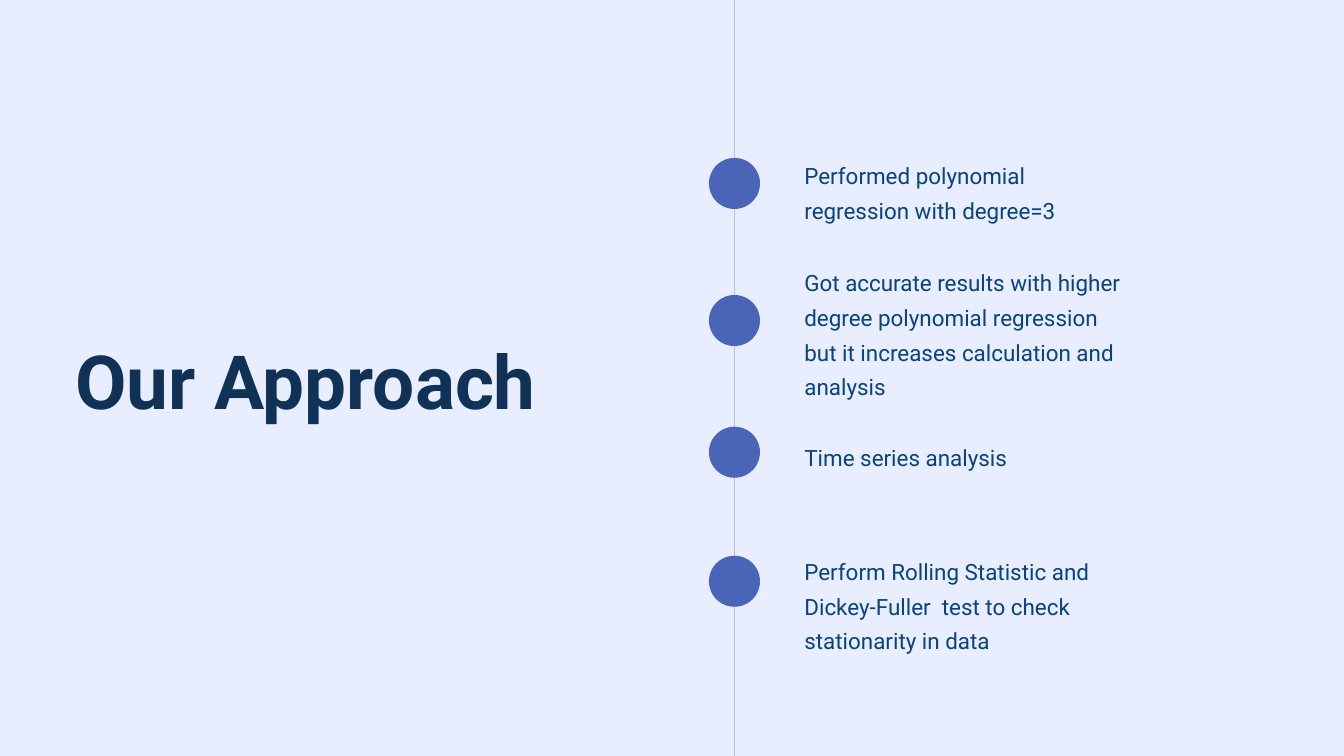
from dataclasses import dataclass

from lxml.etree import SubElement
from pptx import Presentation
from pptx.dml.color import RGBColor
from pptx.enum.shapes import MSO_CONNECTOR as Connector, MSO_SHAPE as Shape
from pptx.enum.text import MSO_ANCHOR as Anchor, MSO_AUTO_SIZE as AutoSize, PP_ALIGN as Align
from pptx.oxml.ns import qn
from pptx.util import Inches, Pt


@dataclass(frozen=True)
class Theme:
    font: str = "Roboto"
    background: RGBColor = RGBColor(0xE8, 0xEE, 0xFF)
    title: RGBColor = RGBColor(0x0F, 0x32, 0x56)
    body: RGBColor = RGBColor(0x09, 0x42, 0x7D)
    dot: RGBColor = RGBColor(0x4A, 0x64, 0xB8)
    rail: RGBColor = RGBColor(0, 0, 0)
    rail_opacity: int = 19
    title_size: int = 80
    body_size: int = 24
    line_spacing: float = 1.3


THEME = Theme()
SLIDE_WIDTH, SLIDE_HEIGHT = 20, 11.25
DOT_SIZE = 0.76
TEXT_OFFSET = 1.04  # from the rail to the step text

# Dot top, text top, text height, wording
STEPS = [
    (2.35, 2.29, 0.88, "Performed polynomial regression with degree=3"),
    (4.39, 3.88, 1.74, "Got accurate results with higher degree polynomial regression "
                       "but it increases calculation and analysis"),
    (6.35, 6.49, 0.44, "Time series analysis"),
    (8.27, 8.18, 1.31, "Perform Rolling Statistic and Dickey-Fuller  test "
                       "to check stationarity in data"),
]


def place(shape, left, top, width, height):
    shape.left, shape.top = Inches(left), Inches(top)
    shape.width, shape.height = Inches(width), Inches(height)


def write_text(box, text, *, size, color, bold=False):
    frame = box.text_frame
    frame.word_wrap = True
    frame.auto_size = AutoSize.NONE
    frame.vertical_anchor = Anchor.TOP
    frame.margin_left = frame.margin_top = frame.margin_right = frame.margin_bottom = 0
    para = frame.paragraphs[0]
    para.alignment = Align.LEFT
    para.line_spacing = THEME.line_spacing
    para.space_before = Pt(0)
    span = para.add_run()
    span.text = text
    span.font.name = THEME.font
    span.font.size = Pt(size)
    span.font.bold = bold
    span.font.color.rgb = color


def add_title(page, left, top, width, height):
    title = page.shapes.title
    place(title, left, top, width, height)
    write_text(title, "Our Approach", size=THEME.title_size, color=THEME.title, bold=True)


def add_rail(page, x, top, bottom):
    rail = page.shapes.add_connector(
        Connector.STRAIGHT, Inches(x), Inches(top), Inches(x), Inches(bottom))
    rail.line.width = Pt(0.75)
    rail.line.color.rgb = THEME.rail
    properties = rail._element.spPr
    color = properties.find(".//" + qn("a:srgbClr"))
    SubElement(color, qn("a:alpha"), val=str(THEME.rail_opacity * 1000))
    SubElement(properties, qn("a:effectLst"))


def add_dot(page, center_x, top):
    dot = page.shapes.add_shape(
        Shape.OVAL, Inches(center_x - DOT_SIZE / 2), Inches(top),
        Inches(DOT_SIZE), Inches(DOT_SIZE))
    dot.shadow.inherit = False
    dot.fill.solid()
    dot.fill.fore_color.rgb = THEME.dot
    dot.line.fill.background()


def add_timeline(page, left, top, width, height):
    """Draw the rail with its dots at the left and the step texts beside it."""
    rail_x = left + DOT_SIZE / 2
    text_left = rail_x + TEXT_OFFSET
    add_rail(page, rail_x, top, top + height)
    for dot_top, text_top, text_height, text in STEPS:
        add_dot(page, rail_x, top + dot_top)
        box = page.shapes.add_textbox(
            Inches(text_left), Inches(top + text_top),
            Inches(left + width - text_left), Inches(text_height))
        write_text(box, text, size=THEME.body_size, color=THEME.body)


def main():
    deck = Presentation()
    deck.slide_width, deck.slide_height = Inches(SLIDE_WIDTH), Inches(SLIDE_HEIGHT)
    page = deck.slides.add_slide(deck.slide_layouts[5])
    page.background.fill.solid()
    page.background.fill.fore_color.rgb = THEME.background
    add_title(page, 1.12, 4.59, 7.38, 1.42)
    add_timeline(page, 10.55, 0, 6.28, SLIDE_HEIGHT)
    deck.save("out.pptx")


if __name__ == "__main__":
    main()
